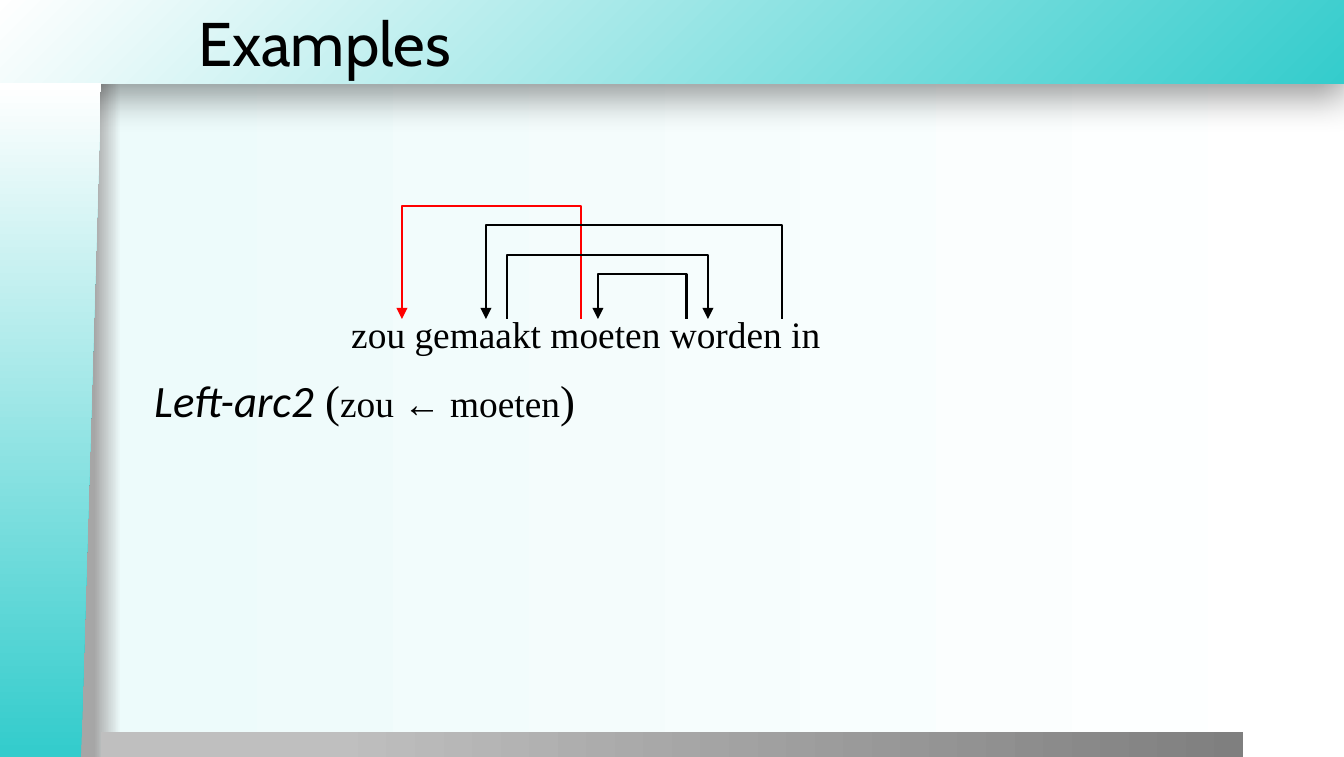
import pptx
import pptx.dml.color
import pptx.enum.shapes
import pptx.enum.text
import pptx.oxml
import pptx.oxml.ns
import pptx.util

SCALE = 914400 / 134.4  # EMU per px
RGB = pptx.dml.color.RGBColor
BLACK = RGB(0, 0, 0)
WHITE = RGB(255, 255, 255)
RED = RGB(255, 0, 0)
TEAL = RGB(0x34, 0xCC, 0xCC)
MINT = RGB(0xED, 0xFB, 0xFB)
EDGE_GREY = RGB(0xA6, 0xA6, 0xA6)
LIGHT_GREY = RGB(0xBF, 0xBF, 0xBF)
DARK_GREY = RGB(0x7F, 0x7F, 0x7F)
SERIF = "Times New Roman"
SHAPES = pptx.enum.shapes.MSO_SHAPE
WORD_TOP = 319


def emu(*lengths):
    return [round(length * SCALE) for length in lengths]


def add_xml(parent, markup):
    """Append one DrawingML element written with the a: prefix."""
    wrapper = pptx.oxml.parse_xml(f'<a:wrapper {pptx.oxml.ns.nsdecls("a")}>{markup}</a:wrapper>')
    parent.append(wrapper[0])


def set_gradient(fill, parent, stops):
    """Fill with a left-to-right gradient of (percent, colour) stops."""
    fill.gradient()
    fill.gradient_angle = 0
    stop_list = next(parent.iter(pptx.oxml.ns.qn("a:gsLst")))
    for stop in list(stop_list):
        stop_list.remove(stop)
    for percent, colour in stops:
        add_xml(stop_list, f'<a:gs pos="{percent * 1000}"><a:srgbClr val="{colour}"/></a:gs>')


def add_panel(page, kind, bounds, stops):
    panel = page.shapes.add_shape(kind, *emu(*bounds))
    set_gradient(panel.fill, panel._element.spPr, stops)
    panel.line.fill.background()
    panel.shadow.inherit = False
    return panel


def add_header(page):
    """Add the top band, shaded from its lower right corner, with a soft shadow."""
    header = add_panel(page, SHAPES.RECTANGLE, (-1, 0, 1345, 84), [(0, TEAL), (100, WHITE)])
    properties = header._element.spPr
    gradient = properties.find(pptx.oxml.ns.qn("a:gradFill"))
    gradient.remove(gradient.find(pptx.oxml.ns.qn("a:lin")))
    add_xml(gradient, '<a:path path="circle"><a:fillToRect l="100000" t="100000"/></a:path>')
    add_xml(properties.find(pptx.oxml.ns.qn("a:effectLst")),
            '<a:outerShdw blurRad="254000" dist="76200" dir="5400000" algn="t" rotWithShape="0">'
            '<a:srgbClr val="000000"><a:alpha val="40000"/></a:srgbClr></a:outerShdw>')


def add_side_band(page):
    band = add_panel(page, SHAPES.FLOWCHART_MANUAL_INPUT, (-287, 370, 675, 101),
                     [(1, TEAL), (100, WHITE)])
    band.rotation = 270
    band._element.spPr.find(pptx.oxml.ns.qn("a:xfrm")).set("flipV", "1")


def set_font(font, size, name):
    font.size = pptx.util.Pt(size)
    font.name = name
    font.color.rgb = BLACK


def set_title(page, text):
    title = page.shapes.title
    title.left, title.top, title.width, title.height = emu(185, 0, 1159, 84)
    title.text_frame.text = text
    title.text_frame.vertical_anchor = pptx.enum.text.MSO_ANCHOR.MIDDLE
    para = title.text_frame.paragraphs[0]
    para.alignment = pptx.enum.text.PP_ALIGN.LEFT
    set_font(para.font, 33, "Cabin")


def add_arc(shapes, start, end, top, colour):
    """Add a square arc rising from x = start and pointing down at x = end."""
    builder = shapes.build_freeform(start, WORD_TOP, scale=SCALE)
    builder.add_line_segments([(start, top), (end, top), (end, WORD_TOP)], close=False)
    arc = builder.convert_to_shape()
    arc.fill.background()
    arc.line.color.rgb = colour
    arc.line.width = pptx.util.Pt(1.5)
    arc.shadow.inherit = False
    add_xml(arc._element.spPr.find(pptx.oxml.ns.qn("a:ln")), '<a:tailEnd type="triangle"/>')


def add_box(shapes, bounds):
    box = shapes.add_textbox(*emu(*bounds))
    box.text_frame.word_wrap = True
    return box.text_frame


def add_sentence(shapes, text):
    frame = add_box(shapes, (168, 311, 836, 43))
    frame.margin_left = frame.margin_right = frame.margin_top = frame.margin_bottom = 0
    para = frame.paragraphs[0]
    para.text = text
    para.alignment = pptx.enum.text.PP_ALIGN.CENTER
    set_font(para.font, 20, SERIF)


def add_transition(shapes):
    para = add_box(shapes, (141, 366, 695, 67)).paragraphs[0]
    for text, size, name, italic, bold in [
        ("Left-arc2", 24, "Calibri", True, False),
        (" (", 24, SERIF, False, False),
        ("zou ", 20, SERIF, False, False),
        ("← ", 20, SERIF, False, True),
        ("moeten", 20, SERIF, False, False),
        (")", 24, SERIF, False, False),
    ]:
        span = para.add_run()
        span.text = text
        set_font(span.font, size, name)
        span.font.italic = italic
        span.font.bold = bold


def main():
    deck = pptx.Presentation()
    deck.slide_width, deck.slide_height = emu(1344, 757)
    page = deck.slides.add_slide(deck.slide_layouts.get_by_name("Title Only"))
    set_gradient(page.background.fill, page._element,
                 [(7, EDGE_GREY), (9, MINT), (100, WHITE)])
    add_header(page)
    add_panel(page, SHAPES.RECTANGLE, (101, 732, 1142, 26), [(20, LIGHT_GREY), (100, DARK_GREY)])
    add_side_band(page)

    # The title goes in front of the bands.
    title = page.shapes.title._element
    title.getparent().append(title)
    set_title(page, "Examples")

    diagram = page.shapes.add_group_shape().shapes
    for start, end, top, colour in [
        (581, 402, 206, RED),
        (782, 486, 225, BLACK),
        (687, 598, 274, BLACK),
        (507, 708, 255, BLACK),
    ]:
        add_arc(diagram, start, end, top, colour)
    add_sentence(diagram, "zou gemaakt moeten worden in")
    add_transition(page.shapes)
    deck.save("out.pptx")


if __name__ == "__main__":
    main()
